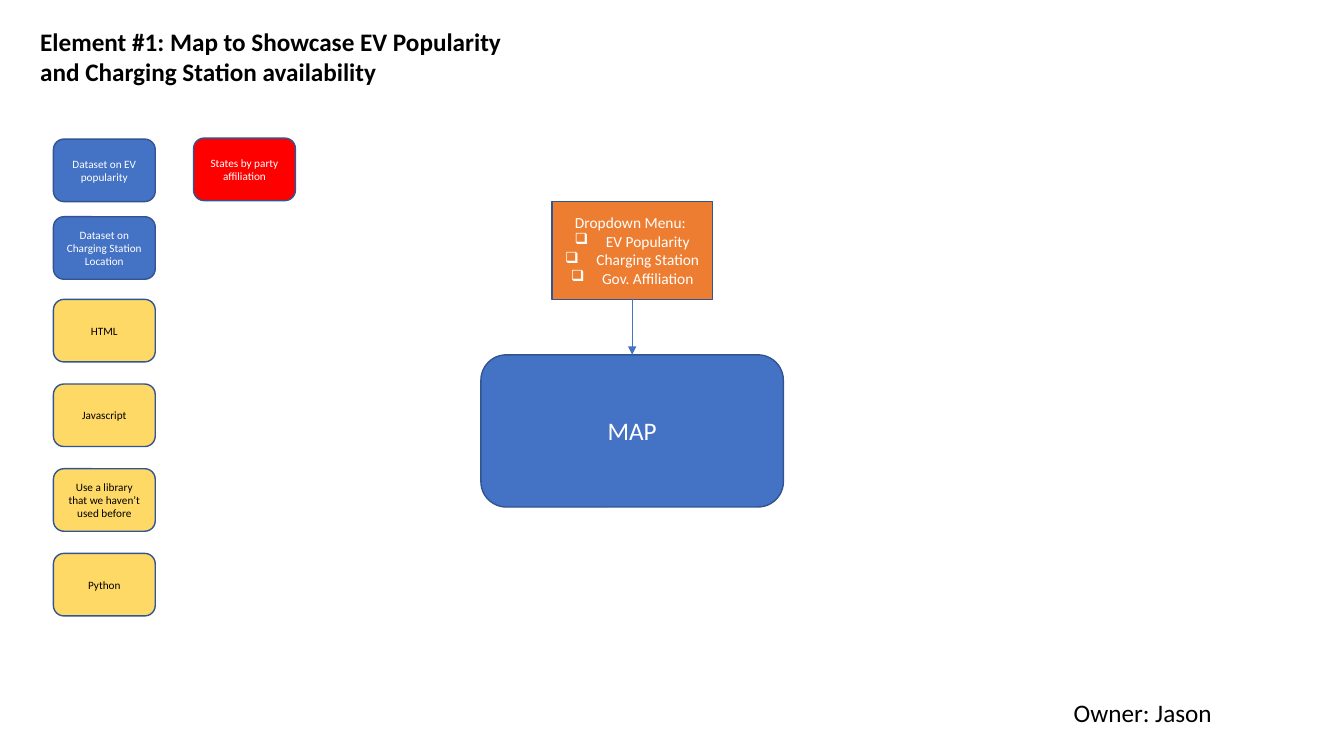
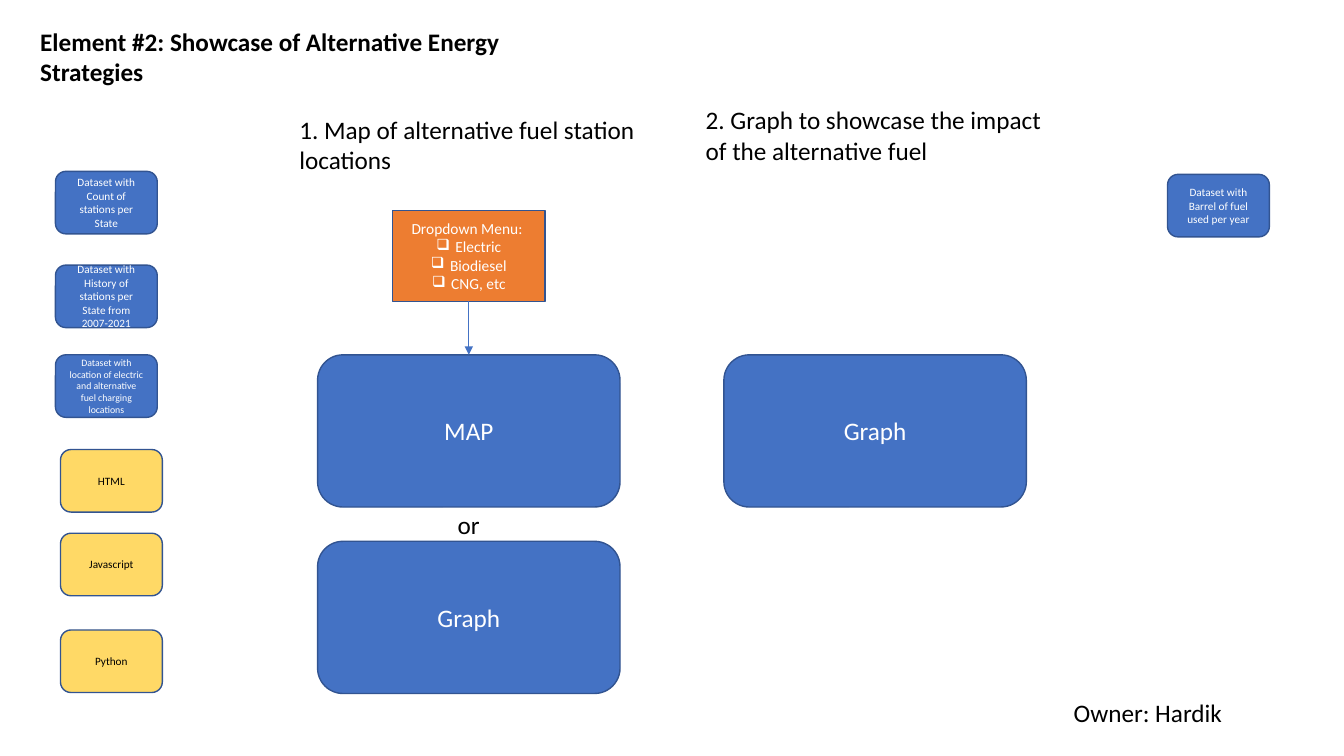
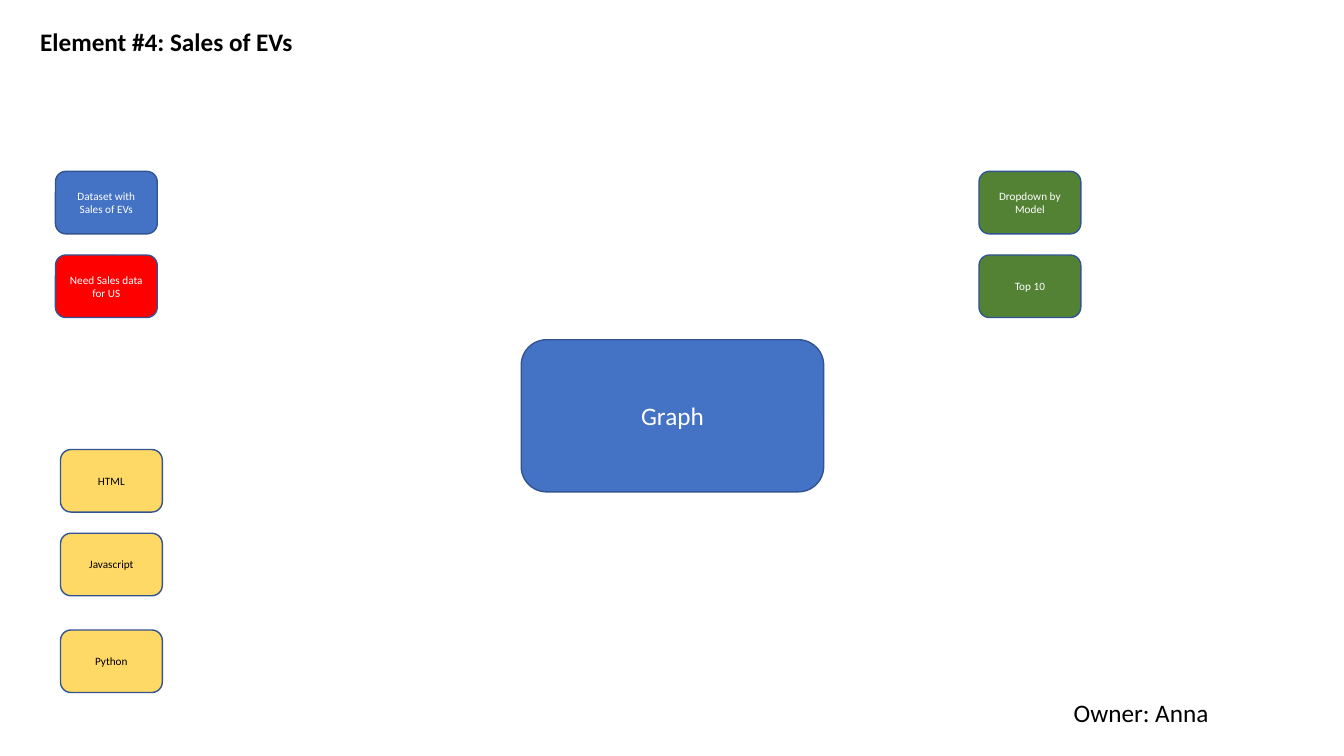
"""Build the three planning slides of the electric vehicle project."""
from dataclasses import dataclass
from typing import Any

import pptx
import pptx.dml.color
import pptx.enum.shapes
import pptx.enum.text
import pptx.oxml
import pptx.oxml.ns
import pptx.presentation
import pptx.shapes.autoshape
import pptx.shapes.base
import pptx.slide
import pptx.text.text
import pptx.util

Inches = pptx.util.Inches
Pt = pptx.util.Pt
RGB = pptx.dml.color.RGBColor.from_string
SHAPE = pptx.enum.shapes.MSO_SHAPE
ALIGN = pptx.enum.text.PP_ALIGN
ANCHOR = pptx.enum.text.MSO_ANCHOR
FIT = pptx.enum.text.MSO_AUTO_SIZE


@dataclass(frozen=True)
class Theme:
    """Colours and type sizes of all slides."""
    font: str = "Calibri"
    white: str = "FFFFFF"
    black: str = "000000"
    blue: str = "4472C4"
    outline: str = "325491"
    yellow: str = "FFD966"
    red: str = "FF0000"
    green: str = "548235"
    orange: str = "ED7D31"
    large: float = 18
    medium: float = 11
    small: float = 8
    tiny: float = 7


THEME = Theme()


@dataclass(frozen=True)
class Style:
    """Look and size of one kind of box."""
    fill: str
    color: str = THEME.white
    size: float = THEME.small
    width: float = 1.01
    height: float = 0.62


DATA = Style(THEME.blue)
LONG_DATA = Style(THEME.blue, size=THEME.tiny)
TOOL = Style(THEME.yellow, THEME.black)
MISSING = Style(THEME.red)
CONTROL = Style(THEME.green)
VIEW = Style(THEME.blue, size=THEME.large, width=3, height=1.51)


@dataclass(frozen=True)
class Box:
    """A rounded box with its text and top left corner."""
    text: str
    left: float
    top: float
    style: Style


@dataclass(frozen=True)
class Menu:
    """A dropdown menu centred above the view that it controls."""
    options: tuple[str, ...]
    top: float
    width: float
    height: float
    indent: float


@dataclass(frozen=True)
class Label:
    """A free line of text."""
    text: str
    left: float
    top: float
    width: float
    height: float = 0.4
    bold: bool = False
    wrap: bool = True


@dataclass(frozen=True)
class Page:
    """Content of one slide; the menu belongs to the first box."""
    title: str
    owner: str
    boxes: tuple[Box, ...]
    labels: tuple[Label, ...] = ()
    menu: Menu | None = None
    title_height: float = 0.71


def apply_format(target: Any, values: dict[str, Any]) -> None:
    """Set every named attribute of the target."""
    for name, value in values.items():
        setattr(target, name, value)


def add_run(p: pptx.text.text._Paragraph, text: str, size: float,
            color: str, bold: bool = False) -> None:
    """Append formatted text to a paragraph."""
    r = p.add_run()
    r.text = text
    apply_format(r.font, {"name": THEME.font, "size": Pt(size), "bold": bold})
    r.font.color.rgb = RGB(color)


def add_bullet(p: pptx.text.text._Paragraph, indent: float) -> None:
    """Give a paragraph a hanging checkbox bullet."""
    pPr = p._p.get_or_add_pPr()
    pPr.set("marL", str(Inches(indent)))
    pPr.set("indent", str(-Inches(indent)))
    pPr.append(pptx.oxml.parse_xml(
        f'<a:buChar {pptx.oxml.ns.nsdecls("a")} char="\u2751"/>'))


def add_label(s: pptx.slide.Slide, label: Label) -> None:
    """Draw a text box."""
    sp = s.shapes.add_textbox(Inches(label.left), Inches(label.top),
                              Inches(label.width), Inches(label.height))
    tf = sp.text_frame
    apply_format(tf, {"word_wrap": label.wrap, "auto_size": FIT.SHAPE_TO_FIT_TEXT})
    add_run(tf.paragraphs[0], label.text, THEME.large, THEME.black, label.bold)


def add_panel(s: pptx.slide.Slide, preset: SHAPE, left: float, top: float,
              style: Style, lines: tuple[str, ...],
              indent: float = 0) -> pptx.shapes.autoshape.Shape:
    """Draw a filled shape; every line after the first is bulleted."""
    sp = s.shapes.add_shape(preset, Inches(left), Inches(top),
                            Inches(style.width), Inches(style.height))
    sp.shadow.inherit = False
    sp.fill.solid()
    sp.fill.fore_color.rgb = RGB(style.fill)
    sp.line.color.rgb = RGB(THEME.outline)
    sp.line.width = Pt(1)
    tf = sp.text_frame
    apply_format(tf, {"word_wrap": True, "vertical_anchor": ANCHOR.MIDDLE})
    for i, text in enumerate(lines):
        p = tf.add_paragraph() if i else tf.paragraphs[0]
        p.alignment = ALIGN.CENTER
        if i:
            add_bullet(p, indent)
        add_run(p, text, style.size, style.color)
    return sp


def add_arrow(s: pptx.slide.Slide, start: pptx.shapes.base.BaseShape,
              end: pptx.shapes.base.BaseShape) -> None:
    """Join the bottom of one shape to the top of another."""
    line = s.shapes.add_connector(
        pptx.enum.shapes.MSO_CONNECTOR.STRAIGHT, 0, 0, 0, 0)
    line.begin_connect(start, 2)
    line.end_connect(end, 0)
    line.line.color.rgb = RGB(THEME.blue)
    line.line.width = Pt(0.5)
    ns = pptx.oxml.ns.nsdecls("a")
    line.line._get_or_add_ln().append(
        pptx.oxml.parse_xml(f'<a:tailEnd {ns} type="triangle"/>'))
    line._element.spPr.append(pptx.oxml.parse_xml(f"<a:effectLst {ns}/>"))


def add_menu(s: pptx.slide.Slide, menu: Menu, view: Box,
             view_shape: pptx.shapes.base.BaseShape) -> None:
    """Draw a dropdown menu and its arrow to the view."""
    style = Style(THEME.orange, size=THEME.medium,
                  width=menu.width, height=menu.height)
    left = view.left + (view.style.width - menu.width) / 2
    sp = add_panel(s, SHAPE.RECTANGLE, left, menu.top, style,
                   ("Dropdown Menu: ", *menu.options), menu.indent)
    add_arrow(s, sp, view_shape)


def add_page(prs: pptx.presentation.Presentation, page: Page) -> None:
    """Add one slide with its title, boxes, labels and owner."""
    s = prs.slides.add_slide(prs.slide_layouts[6])
    add_label(s, Label(page.title, 0.3, 0.21, 4.83, page.title_height, bold=True))
    shapes = [add_panel(s, SHAPE.ROUNDED_RECTANGLE, box.left, box.top,
                        box.style, (box.text,)) for box in page.boxes]
    if page.menu:
        add_menu(s, page.menu, page.boxes[0], shapes[0])
    for label in page.labels:
        add_label(s, label)
    add_label(s, Label(f"Owner: {page.owner}", 10.55, 6.87, 2.48))


MAP_TOOLS = tuple(
    Box(text, 0.53, 2.97 + 0.84 * i, TOOL) for i, text in enumerate(
        ("HTML", "Javascript", "Use a library that we haven’t used before", "Python")))
COMMON_TOOLS = tuple(
    Box(text, 0.6, top, TOOL) for text, top in
    (("HTML", 4.46), ("Javascript", 5.29), ("Python", 6.25)))

PAGES = (
    Page(
        "Element #1: Map to Showcase EV Popularity and Charging Station availability",
        "Jason",
        (Box("MAP", 4.77, 3.52, VIEW),
         Box("Dataset on EV popularity", 0.53, 1.38, DATA),
         Box("Dataset on Charging Station Location", 0.53, 2.15, DATA),
         *MAP_TOOLS,
         Box("States by party affiliation", 1.92, 1.37, MISSING)),
        menu=Menu(("EV Popularity", "Charging Station", "Gov. Affiliation"),
                  2, 1.59, 0.97, 0.31)),
    Page(
        "Element #2: Showcase of Alternative Energy Strategies ",
        "Hardik",
        (Box("MAP", 3.15, 3.52, VIEW),
         Box("Graph", 3.15, 5.37, VIEW),
         Box("Graph", 7.18, 3.52, VIEW),
         Box("Dataset with Count of stations per State", 0.55, 1.7, DATA),
         Box("Dataset with History of stations per State from 2007-2021",
             0.55, 2.63, DATA),
         Box("Dataset with location of electric and alternative fuel "
             "charging locations", 0.55, 3.52, LONG_DATA),
         Box("Dataset with Barrel of fuel used per year", 11.58, 1.73, DATA),
         *COMMON_TOOLS),
        (Label("or", 4.44, 5, 0.42, wrap=False),
         Label("1. Map of alternative fuel station locations",
               2.87, 1.08, 3.55, 0.71),
         Label("2. Graph to showcase the impact of the alternative fuel",
               6.9, 0.99, 3.55, 0.71)),
        Menu(("Electric", "Biodiesel", "CNG, etc"), 2.09, 1.51, 0.9, 0.19)),
    Page(
        "Element #4: Sales of EVs",
        "Anna",
        (Box("Graph", 5.17, 3.37, VIEW),
         Box("Dataset with Sales of EVs", 0.55, 1.7, DATA),
         Box("Need Sales data for US", 0.55, 2.53, MISSING),
         Box("Dropdown by Model", 9.71, 1.7, CONTROL),
         Box("Top 10", 9.71, 2.53, CONTROL),
         *COMMON_TOOLS),
        title_height=0.4),
)


def main() -> None:
    """Build and save the presentation."""
    prs = pptx.Presentation()
    apply_format(prs, {"slide_width": Inches(13.33), "slide_height": Inches(7.5)})
    for page in PAGES:
        add_page(prs, page)
    prs.save("out.pptx")


main()
